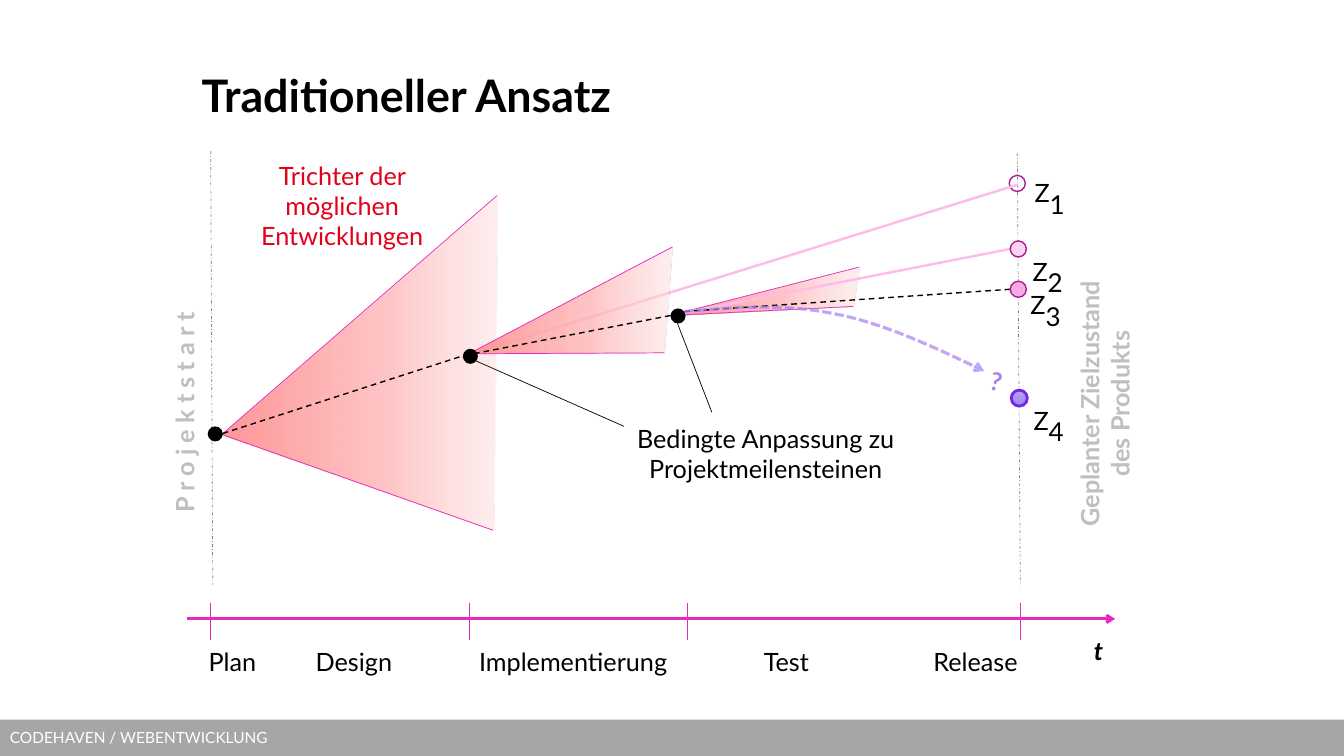
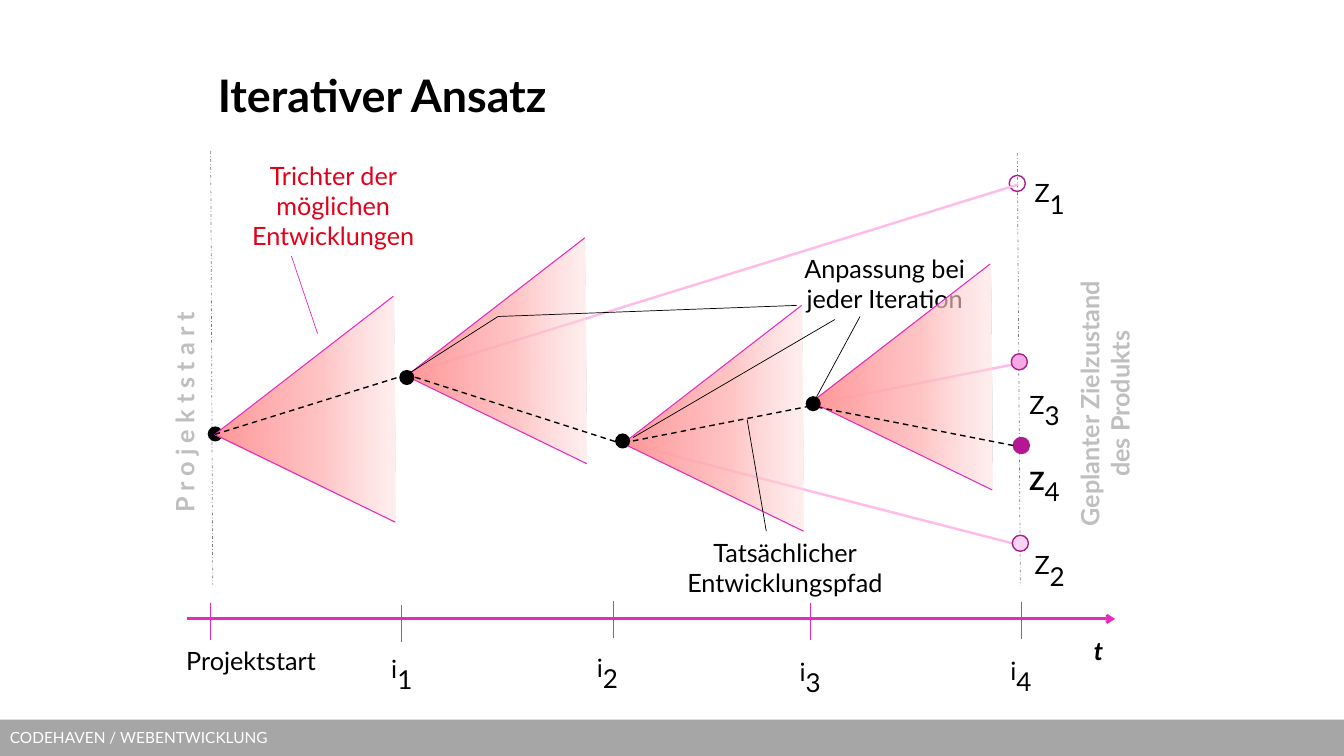
from dataclasses import dataclass

from lxml.etree import SubElement
from pptx import Presentation
from pptx.dml.color import RGBColor
from pptx.enum.dml import MSO_LINE
from pptx.enum.shapes import MSO_CONNECTOR, MSO_SHAPE
from pptx.enum.text import MSO_ANCHOR, MSO_AUTO_SIZE, PP_ALIGN
from pptx.oxml.ns import qn
from pptx.util import Pt

PX = 9144


@dataclass(frozen=True)
class Theme:
    font: str = "Lato"
    title: int = 32
    body: int = 18
    sub: int = 32
    footer: int = 11
    black: str = "000000"
    white: str = "FFFFFF"
    band: str = "A6A6A6"
    muted: str = "BFBFBF"
    guide: str = "808080"
    red: str = "E2001A"
    pink: str = "E729BF"
    path_pink: str = "FFBCE9"
    ring: str = "AB1E8D"
    state2: str = "FAD4F2"
    state3: str = "F5A9E5"
    reached: str = "B71595"
    violet: str = "A97FF1"
    violet_ring: str = "7029E7"
    cone: tuple = ((0, "FF9698", 100), (60, "FFB7B8", 80), (100, "FFDCDC", 45))
    missed: tuple = ((0, "B7A3F4", 100), (50, "AB94F1", 100), (100, "9D80F3", 100))


T = Theme()


def px(*values):
    return [round(v * PX) for v in values]


def rgb(color):
    return RGBColor.from_string(color)


def style(r, color, size=T.body, bold=False, italic=False):
    f = r.font
    f.name, f.size, f.bold, f.italic = T.font, Pt(size), bold, italic
    f.color.rgb = rgb(color)


def text(s, box, words, color=T.black, bold=False, italic=False, rot=0, wrap=True):
    sp = s.shapes.add_textbox(*px(*box))
    sp.rotation = rot
    tf = sp.text_frame
    tf.text = words
    tf.word_wrap = wrap
    tf.auto_size = MSO_AUTO_SIZE.SHAPE_TO_FIT_TEXT
    for p in tf.paragraphs:
        p.alignment = PP_ALIGN.CENTER
        for r in p.runs:
            style(r, color, bold=bold, italic=italic)
    return sp


def indexed(s, x, y, w, letter, index, bold=False):
    p = text(s, (x, y, w, 46), letter, bold=bold).text_frame.paragraphs[0]
    r = p.add_run()
    r.text = index
    style(r, T.black, T.sub)
    r.font._element.set("baseline", "-25000")


def stroke(sp, color, width, dash=None, arrow=False):
    sp.line.color.rgb = rgb(color)
    sp.line.width = Pt(width)
    if dash:
        sp.line.dash_style = dash
    if arrow:
        SubElement(sp.line._get_or_add_ln(), qn("a:tailEnd"), type="arrow")


def line(s, start, end, color=T.black, width=0.5, dash=None, arrow=False):
    sp = s.shapes.add_connector(MSO_CONNECTOR.STRAIGHT, *px(*start, *end))
    stroke(sp, color, width, dash, arrow)
    SubElement(sp.element.spPr, qn("a:effectLst"))


def path_step(s, start, end):
    line(s, start, end, width=1, dash=MSO_LINE.DASH)


def outlook(s, start, end):
    line(s, start, end, T.path_pink, 1.75)


def gradient(sp, stops, angle):
    sp.fill.gradient()
    fill = sp.element.spPr.find(qn("a:gradFill"))
    gs_lst = fill.find(qn("a:gsLst"))
    for gs in list(gs_lst):
        gs_lst.remove(gs)
    for pos, color, alpha in stops:
        gs = SubElement(gs_lst, qn("a:gs"), pos=str(pos * 1000))
        clr = SubElement(gs, qn("a:srgbClr"), val=color)
        SubElement(clr, qn("a:alpha"), val=str(alpha * 1000))
    fill.find(qn("a:lin")).set("ang", str(angle * 60000))


def circle(s, x, y, d, fill=None):
    sp = s.shapes.add_shape(MSO_SHAPE.OVAL, *px(x, y, d, d))
    sp.shadow.inherit = False
    if fill:
        sp.fill.solid()
        sp.fill.fore_color.rgb = rgb(fill)
    else:
        sp.fill.background()
    return sp


def milestone(s, x, y):
    circle(s, x, y, 15, T.black).line.fill.background()


def state(s, x, y, index, dx, dy, fill=None, bold=False):
    indexed(s, x + dx, y + dy, 62, "Z", index, bold)
    sp = circle(s, x, y, 16, fill)
    stroke(sp, T.ring, 1)
    return sp


def outline(s, points, close):
    pts = [px(*pt) for pt in points]
    fb = s.shapes.build_freeform(*pts[0], scale=1.0)
    fb.add_line_segments(pts[1:], close=close)
    sp = fb.convert_to_shape()
    sp.shadow.inherit = False
    return sp


def funnel(s, x, y, upper=(177, -137), lower=(179, 87), width=0.75):
    ends = [(x + dx, y + dy) for dx, dy in (upper, lower)]
    sp = outline(s, [(x, y), *ends], True)
    gradient(sp, T.cone, 0)
    sp.line.fill.background()
    for end in ends:
        line(s, (x, y), end, T.pink, width)


def bezier(a, b, c, d, steps=16):
    for i in range(1, steps + 1):
        t = i / steps
        u = 1 - t
        yield tuple(u**3 * k + 3 * u * u * t * m + 3 * u * t * t * n + t**3 * o
                    for k, m, n, o in zip(a, b, c, d))


def drift(s, x, y):
    knots = [(x + dx, y + dy) for dx, dy in
             ((0, 0), (49, -4), (97, -8), (147, 2), (196, 11), (247, 35), (297, 59))]
    sp = outline(s, [knots[0], *bezier(*knots[:4]), *bezier(*knots[3:])], False)
    sp.fill.background()
    stroke(sp, T.violet, 2.25, MSO_LINE.SQUARE_DOT, True)
    clr = sp.line._get_or_add_ln().find(".//" + qn("a:srgbClr"))
    SubElement(clr, qn("a:alpha"), val="70000")
    text(s, (x + 293, y + 49, 32, 40), "?", T.violet, True, rot=12.9, wrap=False)


def tick(s, x, y):
    line(s, (x, y), (x, y + 37), T.pink)


def axis(s, x, y, w, ticks):
    line(s, (x, y), (x + w, y), T.pink, 2, arrow=True)
    text(s, (x + w - 40, y + 11, 47, 40), "t", bold=True, italic=True)
    for dx, dy in ticks:
        tick(s, x + dx, y + dy)


def frame(s, x, y, w, h):
    line(s, (x, y), (x + 2, y + h), T.guide, dash=MSO_LINE.DASH_DOT)
    line(s, (x + w - 3, y + 2), (x + w, y + h + 1), T.guide, dash=MSO_LINE.DASH_DOT)
    sp = text(s, (x - 46, y + 54, 50, 410), "P r o j e k t s t a r t", T.muted, True)
    sp.text_frame._txBody.bodyPr.set("vert", "vert270")
    text(s, (x + w - 133, y + 215, 434, 71), "Geplanter Zielzustand\ndes Produkts",
         T.muted, True, rot=270)
    milestone(s, x - 3, y + 273)
    state(s, x + w - 11, y + 24, "1", 9, -22)


def cone_label(s, x, y):
    text(s, (x, y, 207, 101), "Trichter der möglichen Entwicklungen", T.red)


def title(s, x, words):
    sp = s.shapes.title
    sp.left, sp.top, sp.width, sp.height = px(x, 19, 792, 150)
    tf = sp.text_frame
    tf.text = words
    tf.vertical_anchor = MSO_ANCHOR.MIDDLE
    p = tf.paragraphs[0]
    p.alignment = PP_ALIGN.LEFT
    style(p.runs[0], T.black, T.title, True)


def footer(s, x, y, w, h):
    sp = s.shapes.add_shape(MSO_SHAPE.RECTANGLE, *px(x, y, w, h))
    sp.shadow.inherit = False
    sp.fill.solid()
    sp.fill.fore_color.rgb = rgb(T.band)
    sp.line.fill.background()
    tf = sp.text_frame
    tf.text = "CODEHAVEN / WEBENTWICKLUNG"
    tf.vertical_anchor = MSO_ANCHOR.MIDDLE
    p = tf.paragraphs[0]
    p.alignment = PP_ALIGN.LEFT
    style(p.runs[0], T.white, T.footer)
    s.slide_layout.shapes.element.append(sp.element)


def traditional(s):
    title(s, 190, "Traditioneller Ansatz")
    funnel(s, 220, 431, (273, -237), (269, 95), 0.5)
    frame(s, 209, 150, 803, 430)
    outlook(s, (459, 354), (1010, 183))
    cone_label(s, 236, 154)
    path_step(s, (221, 430), (459, 353))
    funnel(s, 465, 351, (202, -106), (194, -1), 0.5)
    funnel(s, 664, 313, (188, -48), (182, -9), 0.5)
    outlook(s, (665, 313), (1002, 247))
    path_step(s, (665, 313), (459, 353))
    path_step(s, (1002, 287), (679, 309))
    milestone(s, 459, 346)
    milestone(s, 665, 306)
    state(s, 1002, 239, "2", 6, -9, T.state2)
    state(s, 1002, 279, "3", 4, -16, T.state3)
    sp = state(s, 1003, 387, "4", 6, -9)
    gradient(sp, T.missed, 90)
    stroke(sp, T.violet_ring, 2)
    drift(s, 679, 309)
    text(s, (608, 415, 303, 71), "Bedingte Anpassung zu Projektmeilensteinen")
    line(s, (472, 358), (619, 423))
    line(s, (672, 321), (706, 409))
    axis(s, 185, 614, 921, [(dx, -16) for dx in (24, 281, 497, 827)])
    for x, w, phase in ((177, 107, "Plan"), (257, 188, "Design"),
                        (460, 217, "Implementierung"), (686, 188, "Test"),
                        (899, 137, "Release")):
        text(s, (x, 636, w, 40), phase)


def iterative(s):
    title(s, 206, "Iterativer Ansatz")
    frame(s, 209, 150, 803, 430)
    axis(s, 185, 614, 921, [(24, -16), (213, -14), (423, -18), (619, -16), (828, -17)])
    text(s, (155, 635, 188, 40), "Projektstart")
    for i, (x, y) in enumerate(((375, 624), (579, 623), (780, 627), (989, 626)), 1):
        indexed(s, x, y, 47, "i", str(i))
    for start, end in (((401, 372), (1010, 183)), ((807, 401), (1018, 359)),
                       ((617, 439), (1004, 539))):
        outlook(s, start, end)
    text(s, (766, 246, 223, 71), "Anpassung bei jeder Iteration")
    cone_label(s, 227, 154)
    line(s, (315, 331), (289, 254), T.pink)
    state(s, 1004, 531, "2", 6, -10, T.state2)
    state(s, 1003, 351, "3", 2, 11, T.state3)
    state(s, 1005, 434, "4", 0, 3, T.reached, True)
    for x, y in ((213, 431), (403, 373), (618, 440), (805, 399)):
        funnel(s, x, y)
    for start, end in (((213, 431), (396, 374)), ((610, 438), (411, 374)),
                       ((813, 401), (625, 438)), ((1005, 442), (806, 403))):
        path_step(s, start, end)
    for start, end in (((628, 434), (828, 317)), ((494, 314), (790, 303)),
                       ((408, 369), (494, 314)), ((741, 416), (760, 527)),
                       ((806, 401), (853, 314))):
        line(s, start, end)
    text(s, (667, 528, 223, 71), "Tatsächlicher Entwicklungspfad")
    for x, y in ((396, 367), (610, 430), (799, 393)):
        milestone(s, x, y)


def main():
    prs = Presentation()
    prs.slide_width, prs.slide_height = px(1333, 750)
    layout = prs.slide_layouts[5]
    slides = [prs.slides.add_slide(layout) for _ in range(2)]
    footer(slides[0], 0, 714, 1333, 36)
    traditional(slides[0])
    iterative(slides[1])
    prs.save("out.pptx")


if __name__ == "__main__":
    main()
